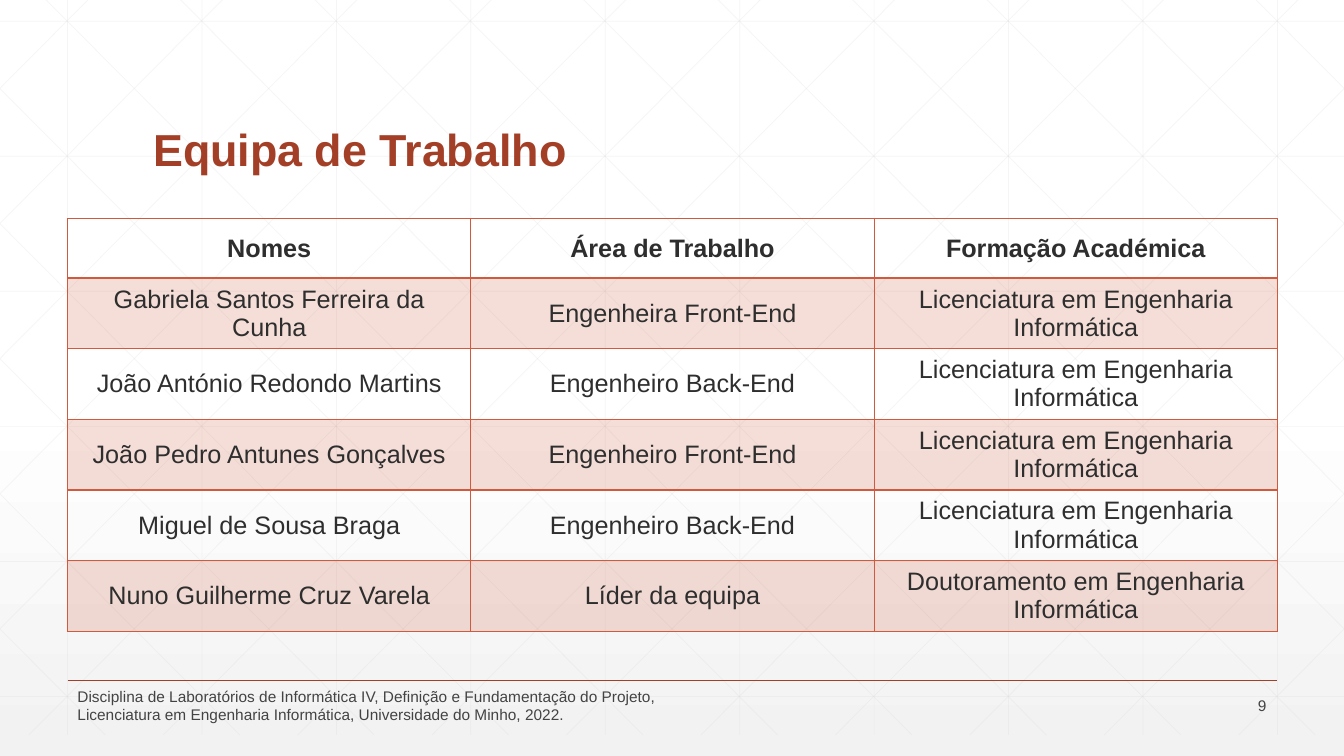
from lxml import etree
from pptx import Presentation
from pptx import util as u
from pptx.dml.color import RGBColor
from pptx.enum import shapes, text
from pptx.oxml import ns

FONT = "Arial"
WHITE = RGBColor(0xFF, 0xFF, 0xFF)
PALE_GREY = RGBColor(0xF2, 0xF2, 0xF2)
GRID_GREY = RGBColor(0xD9, 0xD9, 0xD9)
BRICK = RGBColor(0xA4, 0x3F, 0x27)
CORAL = RGBColor(0xD1, 0x5A, 0x3E)
INK = RGBColor(0x2D, 0x2E, 0x2D)
FOOTER_GREY = RGBColor(0x42, 0x43, 0x42)

WIDTH, HEIGHT = 13.33, 7.5
GRID_TOP, GRID_BOTTOM, GRID_STEP = -0.21, 7.29, 4 / 3
DIAGONAL_RUN = 7.46

DEGREE = "Licenciatura em Engenharia Informática"
TEAM = [
    ("Nomes", "Área de Trabalho", "Formação Académica"),
    ("Gabriela Santos Ferreira da Cunha", "Engenheira Front-End", DEGREE),
    ("João António Redondo Martins", "Engenheiro Back-End", DEGREE),
    ("João Pedro Antunes Gonçalves", "Engenheiro Front-End", DEGREE),
    ("Miguel de Sousa Braga", "Engenheiro Back-End", DEGREE),
    ("Nuno Guilherme Cruz Varela", "Líder da equipa", "Doutoramento em Engenharia Informática"),
]
FOOTER = (
    "Disciplina de Laboratórios de Informática IV, Definição e Fundamentação do Projeto, "
    "Licenciatura em Engenharia Informática, Universidade do Minho, 2022."
)


def set_alpha(element, percent):
    for color in element.iter(ns.qn("a:srgbClr")):
        etree.SubElement(color, ns.qn("a:alpha"), val=str(percent * 1000))


def write(frame, content, size, color, alignment, bold=False):
    frame.text = content
    paragraph = frame.paragraphs[0]
    paragraph.alignment = alignment
    font = paragraph.runs[0].font
    font.name, font.size, font.bold = FONT, u.Pt(size), bold
    font.color.rgb = color
    return paragraph


def add_line(container, start, end, color, width):
    points = [u.Inches(value) for value in (*start, *end)]
    line = container.add_connector(shapes.MSO_CONNECTOR.STRAIGHT, *points)
    line.line.color.rgb = color
    line.line.width = u.Pt(width)
    etree.SubElement(line.element.spPr, ns.qn("a:effectLst"))
    return line


def clipped_diagonal(top_x):
    slope = (GRID_BOTTOM - GRID_TOP) / DIAGONAL_RUN
    left, right = max(top_x, 0), min(top_x + DIAGONAL_RUN, WIDTH)
    return [(x, GRID_TOP + (x - top_x) * slope) for x in (left, right)]


def add_grid(slide):
    segments = []
    for column in range(10):
        x = 0.67 + column * GRID_STEP
        segments.append([(x, GRID_TOP), (x, GRID_BOTTOM)])
    for row in range(6):
        y = 0.21 + row * 1.34
        segments.append([(0, y), (WIDTH, y)])
    for index in range(-5, 10):
        diagonal = clipped_diagonal(0.25 + index * GRID_STEP)
        segments.append(diagonal)
        segments.append([(WIDTH - x, y) for x, y in diagonal])
    group = slide.shapes.add_group_shape()
    for start, end in segments:
        line = add_line(group.shapes, start, end, GRID_GREY, 0.5)
        set_alpha(line.element.spPr, 25)


def paint_background(slide):
    fill = slide.background.fill
    fill.gradient()
    fill.gradient_angle = 270
    for stop, color, position in zip(fill.gradient_stops, (WHITE, PALE_GREY), (0.53, 1)):
        stop.color.rgb = color
        stop.position = position


def place_title(slide):
    title = slide.shapes.title
    title.left, title.top = u.Inches(1.42), u.Inches(0.55)
    title.width, title.height = u.Inches(10.5), u.Inches(1.25)
    frame = title.text_frame
    frame.vertical_anchor = text.MSO_ANCHOR.BOTTOM
    paragraph = write(frame, "Equipa de Trabalho", 32, BRICK, text.PP_ALIGN.LEFT, True)
    paragraph.line_spacing = 0.9
    slide.shapes.element.append(title.element)


def add_footer_text(slide, content, left, width, alignment):
    box = slide.shapes.add_textbox(u.Inches(left), u.Inches(6.88), u.Inches(width), u.Inches(0.24))
    frame = box.text_frame
    frame.word_wrap = True
    frame.vertical_anchor = text.MSO_ANCHOR.MIDDLE
    write(frame, content, 11, FOOTER_GREY, alignment)


def set_borders(cell, widths):
    properties = cell._tc.get_or_add_tcPr()
    for side, width in widths.items():
        border = etree.SubElement(properties, ns.qn(f"a:{side}"), w=str(u.Pt(width)))
        fill = etree.SubElement(border, ns.qn("a:solidFill"))
        etree.SubElement(fill, ns.qn("a:srgbClr"), val=str(CORAL))


def format_cell(cell, content, row):
    write(cell.text_frame, content, 18, INK, text.PP_ALIGN.CENTER, row == 0)
    cell.vertical_anchor = text.MSO_ANCHOR.MIDDLE
    set_borders(cell, {"lnL": 1, "lnR": 1, "lnT": 2 if row == 1 else 1, "lnB": 2 if row == 0 else 1})
    if row % 2:
        cell.fill.solid()
        cell.fill.fore_color.rgb = CORAL
        set_alpha(cell._tc.tcPr.find(ns.qn("a:solidFill")), 20)
    else:
        cell.fill.background()


def add_team_table(slide):
    frame = slide.shapes.add_table(
        len(TEAM), len(TEAM[0]), u.Inches(0.67), u.Inches(2.17), u.Inches(12), u.Inches(3.89)
    )
    table = frame.table
    table.first_row = table.horz_banding = False
    for row, entries in enumerate(TEAM):
        table.rows[row].height = u.Inches(0.66 if row else 0.59)
        for column, content in enumerate(entries):
            format_cell(table.cell(row, column), content, row)


def main():
    """Build the team slide and save it."""
    presentation = Presentation()
    presentation.slide_width = u.Inches(WIDTH)
    presentation.slide_height = u.Inches(HEIGHT)
    slide = presentation.slides.add_slide(presentation.slide_layouts[5])
    paint_background(slide)
    add_grid(slide)
    add_line(slide.shapes, (0.67, 6.75), (12.67, 6.75), BRICK, 1)
    place_title(slide)
    add_footer_text(slide, "9", 11.66, 1, text.PP_ALIGN.RIGHT)
    add_footer_text(slide, FOOTER, 0.67, 6.7, text.PP_ALIGN.LEFT)
    add_team_table(slide)
    presentation.save("out.pptx")


if __name__ == "__main__":
    main()
